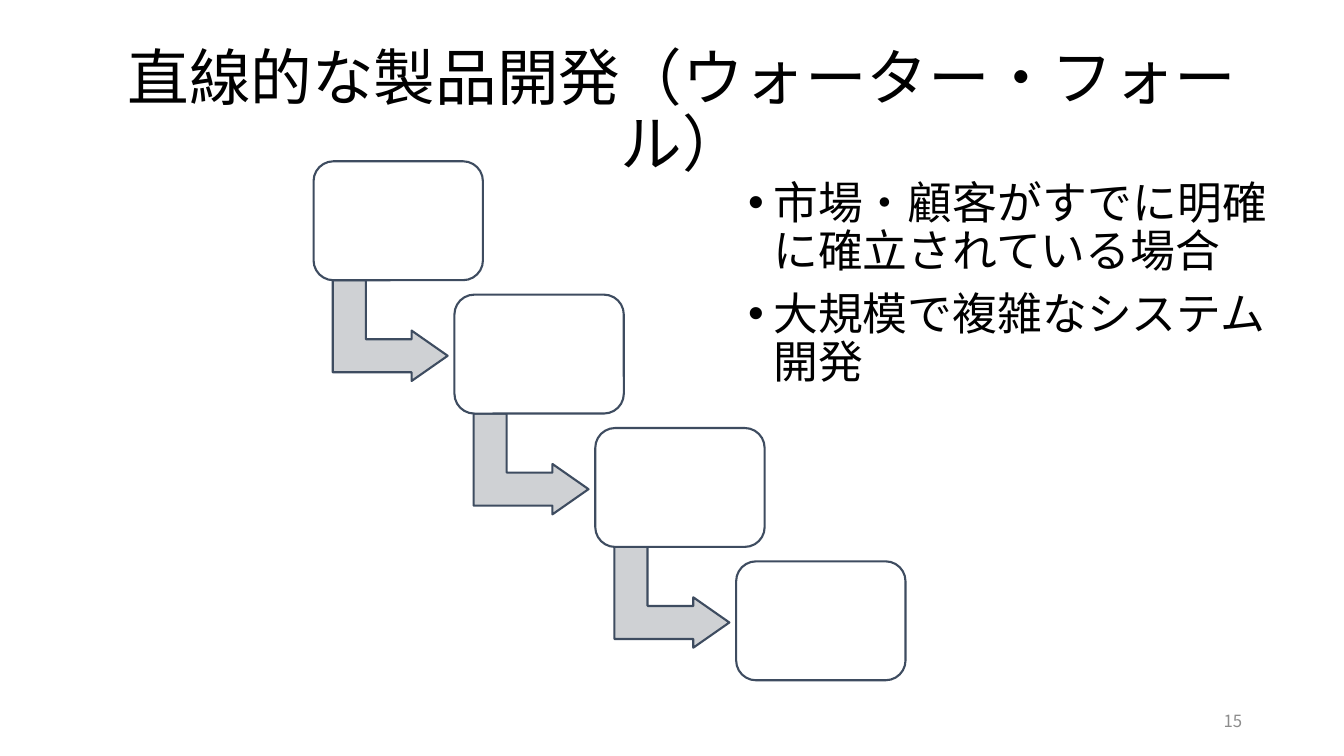
"""Build a slide on linear (waterfall) product development."""
from lxml import etree
from pptx import Presentation
from pptx.dml.color import RGBColor
from pptx.enum.shapes import MSO_SHAPE
from pptx.enum.text import MSO_ANCHOR, MSO_AUTO_SIZE, PP_ALIGN
from pptx.oxml.ns import qn
from pptx.util import Inches, Pt

BOX, ARROW = MSO_SHAPE.ROUNDED_RECTANGLE, MSO_SHAPE.BENT_UP_ARROW
MIDDLE, TOP = MSO_ANCHOR.MIDDLE, MSO_ANCHOR.TOP
CENTER, LEFT, RIGHT = PP_ALIGN.CENTER, PP_ALIGN.LEFT, PP_ALIGN.RIGHT
NO_FIT = MSO_AUTO_SIZE.NONE

TITLE = ["直線的な製品開発（ウォーター・フォール）"]
POINTS = ["市場・顧客がすでに明確に確立されている場合", "大規模で複雑なシステム開発"]
PAGE = ["15"]
FONT = "Noto Sans CJK JP"
COLORS = {"text": "000000", "page": "8C8C8C", "box": "FFFFFF",
          "arrow": "CFD1D4", "line": "3E4C60"}

STAGES = 4
START = (3.11, 1.6)
STEP = (1.397, 1.323)
BOX_SIZE = (1.68, 1.18)
ARROW_SIZE = (1, 1.14)
ARROW_OFFSET = (0.26, 1.11)


def rgb(name):
    return RGBColor.from_string(COLORS[name])


def place(sp, x, y, w, h):
    sp.left, sp.top, sp.width, sp.height = map(Inches, (x, y, w, h))


def write(sp, lines, size, color, anchor, para):
    tf = sp.text_frame
    tf.word_wrap, tf.auto_size, tf.vertical_anchor = True, NO_FIT, anchor
    for i, line in enumerate(lines):
        p = tf.paragraphs[0] if i == 0 else tf.add_paragraph()
        for key, value in para.items():
            setattr(p, key, value)
        r = p.add_run()
        r.text = line
        r.font.size, r.font.name = Pt(size), FONT
        r.font.color.rgb = rgb(color)
        etree.SubElement(r.font._element, qn("a:ea"), typeface=FONT)


def add_bullets(tf):
    for p in tf.paragraphs:
        ppr = p._p.get_or_add_pPr()
        ppr.set("marL", str(Inches(0.25)))
        ppr.set("indent", str(-Inches(0.25)))
        etree.SubElement(ppr, qn("a:buFont"), typeface="Arial")
        etree.SubElement(ppr, qn("a:buChar"), char="•")


def add_part(s, kind, x, y, size, fill, adjustments):
    sp = s.shapes.add_shape(kind, *map(Inches, (x, y, *size)))
    sp.shadow.inherit = False
    sp.fill.solid()
    sp.fill.fore_color.rgb = rgb(fill)
    sp.line.color.rgb, sp.line.width = rgb("line"), Pt(1.5)
    for i, value in enumerate(adjustments):
        sp.adjustments[i] = value
    return sp


def main():
    prs = Presentation()
    prs.slide_width, prs.slide_height = Inches(13.33), Inches(7.5)
    s = prs.slides.add_slide(prs.slide_layouts[1])
    title, body = s.placeholders

    place(title, 0.92, 0.4, 11.7, 1.45)
    write(title, TITLE, 44, "text", MIDDLE,
          {"alignment": CENTER, "line_spacing": 0.9})

    place(body, 7.32, 1.74, 5.42, 2.27)
    write(body, POINTS, 32, "text", TOP,
          {"alignment": LEFT, "line_spacing": 0.9, "space_before": Pt(10)})
    add_bullets(body.text_frame)

    for i in range(STAGES):
        x, y = (a + i * d for a, d in zip(START, STEP))
        if i < STAGES - 1:
            arrow = add_part(s, ARROW, x + ARROW_OFFSET[0], y + ARROW_OFFSET[1],
                             ARROW_SIZE, "arrow", (0.328, 0.25, 0.358))
            arrow.rotation = 90
        add_part(s, BOX, x, y, BOX_SIZE, "box", (0.167,))

    page = s.shapes.add_textbox(*map(Inches, (9.42, 6.95, 3, 0.4)))
    write(page, PAGE, 12, "page", MIDDLE, {"alignment": RIGHT})
    prs.save("out.pptx")


if __name__ == "__main__":
    main()
